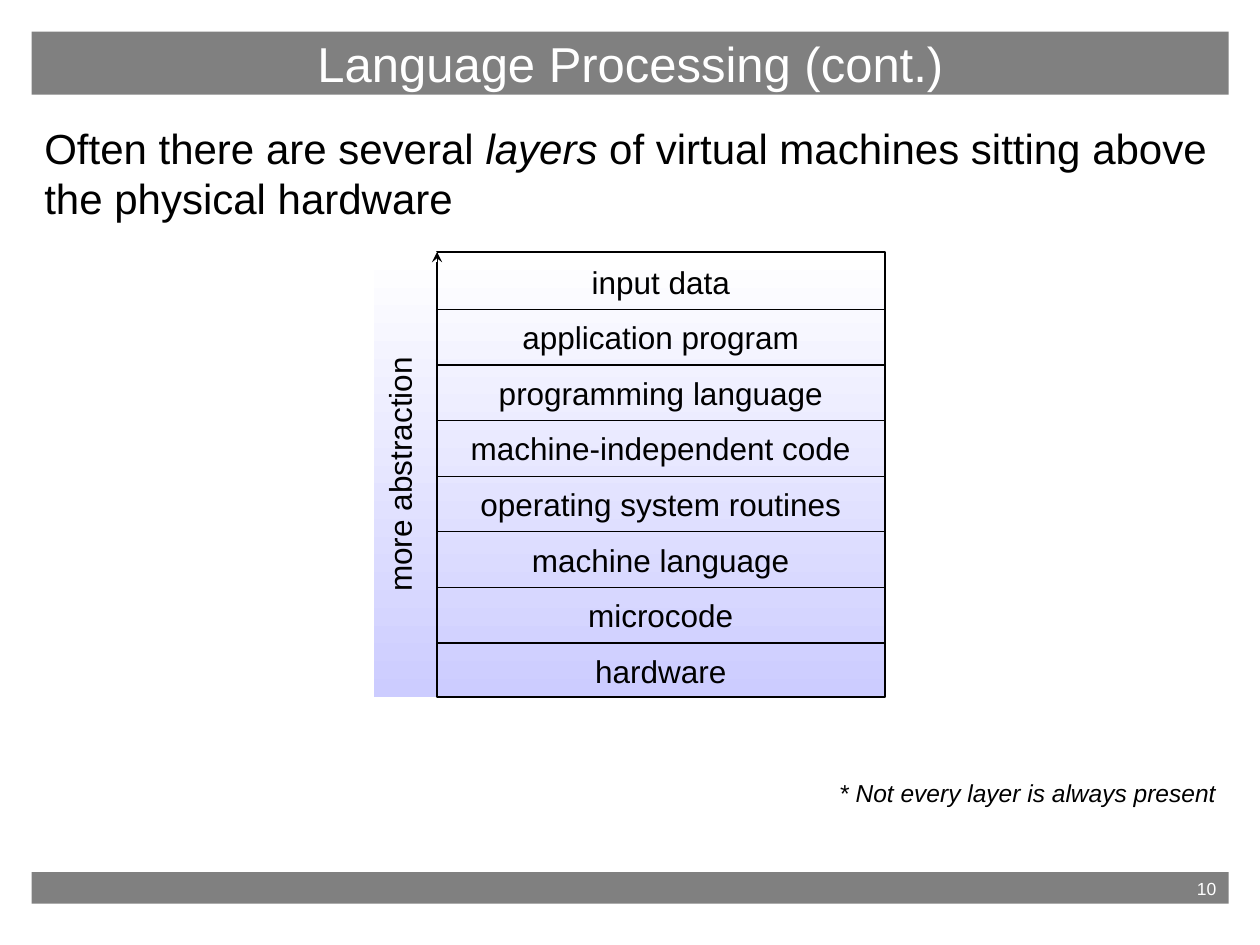
from dataclasses import dataclass

from pptx import Presentation
from pptx.dml.color import RGBColor
from pptx.enum.shapes import MSO_CONNECTOR, MSO_SHAPE
from pptx.enum.text import MSO_ANCHOR, MSO_AUTO_SIZE, PP_ALIGN
from pptx.oxml.ns import qn
from pptx.util import Cm, Pt
from lxml.etree import SubElement


@dataclass(frozen=True)
class Theme:
    font: str = "Arial"
    bar: RGBColor = RGBColor(0x80, 0x80, 0x80)
    light: RGBColor = RGBColor(0xFF, 0xFF, 0xFF)
    dark: RGBColor = RGBColor(0x00, 0x00, 0x00)
    lavender: RGBColor = RGBColor(0xCC, 0xCC, 0xFF)
    title: int = 28
    body: int = 24
    label: int = 18
    note: int = 14
    number: int = 10


THEME = Theme()

MARGIN, BAR_WIDTH = 0.64, 24.13
STACK_LEFT, STACK_TOP, STACK_WIDTH, STACK_HEIGHT = 8.81, 5.08, 9.03, 8.97
STRIP_WIDTH = 1.27
LABEL_CENTER, LABEL_HEIGHT, LABEL_OFFSET = 13.32, 1.02, 0.09
LAYER_STEP, FIRST_DIVIDER = 1.12, 6.24

# Layers from top to bottom, with the widths of their labels in cm
LAYERS = [
    ("input data", 3.3),
    ("application program", 6.07),
    ("programming language", 7.04),
    ("machine-independent code", 8.15),
    ("operating system routines", 7.77),
    ("machine language", 5.69),
    ("microcode", 3.43),
    ("hardware", 3.15),
]


def place(shape, left, top, width, height):
    shape.left, shape.top = Cm(left), Cm(top)
    shape.width, shape.height = Cm(width), Cm(height)


def fill_solid(shape, color):
    shape.fill.solid()
    shape.fill.fore_color.rgb = color


def fill_fading_down(shape):
    shape.fill.gradient()
    shape.fill.gradient_angle = 270
    for stop, color in zip(shape.fill.gradient_stops, (THEME.light, THEME.lavender)):
        stop.color.rgb = color


def add_run(paragraph, text, size, color=THEME.dark, italic=False):
    run = paragraph.add_run()
    run.text = text
    run.font.name = THEME.font
    run.font.size = Pt(size)
    run.font.color.rgb = color
    run.font.italic = italic


def add_rectangle(shapes, left, top, width, height):
    rectangle = shapes.add_shape(
        MSO_SHAPE.RECTANGLE, Cm(left), Cm(top), Cm(width), Cm(height))
    rectangle.shadow.inherit = False
    rectangle.line.fill.background()
    return rectangle


def add_line(shapes, start, end, weight):
    connector = shapes.add_connector(
        MSO_CONNECTOR.STRAIGHT, *(Cm(value) for value in (*start, *end)))
    connector.line.color.rgb = THEME.dark
    connector.line.width = Pt(weight)
    SubElement(connector._element.spPr, qn("a:effectLst"))
    return connector


def add_label(shapes, text, width, top):
    box = shapes.add_textbox(
        Cm(LABEL_CENTER - width / 2), Cm(top), Cm(width), Cm(LABEL_HEIGHT))
    frame = box.text_frame
    frame.word_wrap = False
    frame.margin_left = frame.margin_right = Cm(0)
    frame.vertical_anchor = MSO_ANCHOR.MIDDLE
    paragraph = frame.paragraphs[0]
    paragraph.alignment = PP_ALIGN.CENTER
    add_run(paragraph, text, THEME.label)


def fill_title(title):
    place(title, MARGIN, 0.64, BAR_WIDTH, 1.27)
    fill_solid(title, THEME.bar)
    frame = title.text_frame
    frame.auto_size = MSO_AUTO_SIZE.NONE
    frame.vertical_anchor = MSO_ANCHOR.MIDDLE
    paragraph = frame.paragraphs[0]
    paragraph.alignment = PP_ALIGN.CENTER
    add_run(paragraph, "Language Processing (cont.)", THEME.title, THEME.light)


def format_body_paragraph(paragraph, alignment, space_before):
    properties = paragraph._p.get_or_add_pPr()
    properties.set("marL", "0")
    properties.set("indent", "0")
    SubElement(properties, qn("a:buNone"))
    paragraph.alignment = alignment
    paragraph.space_before = Pt(space_before)


def fill_body(body):
    place(body, MARGIN, 2.34, BAR_WIDTH, 14.81)
    frame = body.text_frame
    frame.auto_size = MSO_AUTO_SIZE.NONE
    statement = frame.paragraphs[0]
    format_body_paragraph(statement, PP_ALIGN.LEFT, 0)
    add_run(statement, "Often there are several ", THEME.body)
    add_run(statement, "layers", THEME.body, italic=True)
    add_run(statement, " of virtual machines sitting above the physical hardware",
            THEME.body)
    note = frame.add_paragraph()
    format_body_paragraph(note, PP_ALIGN.RIGHT, 317)
    add_run(note, "* Not every layer is always present", THEME.note, italic=True)


def add_abstraction_strip(shapes):
    strip = add_rectangle(
        shapes, STACK_LEFT - STRIP_WIDTH, STACK_TOP, STRIP_WIDTH, STACK_HEIGHT)
    fill_fading_down(strip)
    frame = strip.text_frame
    frame._txBody.bodyPr.set("vert", "vert270")
    frame.margin_left, frame.margin_right = Cm(0.13), Cm(0.38)
    frame.vertical_anchor = MSO_ANCHOR.MIDDLE
    paragraph = frame.paragraphs[0]
    paragraph.alignment = PP_ALIGN.CENTER
    add_run(paragraph, "more abstraction", THEME.label)

    arrow = add_line(shapes, (STACK_LEFT, STACK_TOP),
                     (STACK_LEFT, STACK_TOP + STACK_HEIGHT), 1.5)
    SubElement(arrow._element.spPr.find(qn("a:ln")), qn("a:headEnd"), type="stealth")


def add_layer_stack(shapes):
    stack = add_rectangle(shapes, STACK_LEFT, STACK_TOP, STACK_WIDTH, STACK_HEIGHT)
    fill_fading_down(stack)
    stack.line.color.rgb = THEME.dark
    stack.line.width = Pt(0.75)
    add_abstraction_strip(shapes)
    for index, (text, width) in enumerate(LAYERS):
        add_label(shapes, text, width, STACK_TOP + LABEL_OFFSET + index * LAYER_STEP)
    for index in range(len(LAYERS) - 1):
        height = FIRST_DIVIDER + index * LAYER_STEP
        add_line(shapes, (STACK_LEFT, height), (STACK_LEFT + STACK_WIDTH, height), 0.75)


def add_footer(shapes):
    footer = add_rectangle(shapes, MARGIN, 17.58, BAR_WIDTH, 0.64)
    fill_solid(footer, THEME.bar)
    footer.text_frame.vertical_anchor = MSO_ANCHOR.TOP
    paragraph = footer.text_frame.paragraphs[0]
    paragraph.alignment = PP_ALIGN.RIGHT
    add_run(paragraph, "10", THEME.number, THEME.light)


def main():
    presentation = Presentation()
    presentation.slide_width, presentation.slide_height = Cm(25.4), Cm(19.05)
    slide = presentation.slides.add_slide(presentation.slide_layouts[1])
    fill_title(slide.shapes.title)
    fill_body(slide.placeholders[1])
    add_layer_stack(slide.shapes.add_group_shape().shapes)
    add_footer(slide.shapes)
    presentation.save("out.pptx")


if __name__ == "__main__":
    main()
